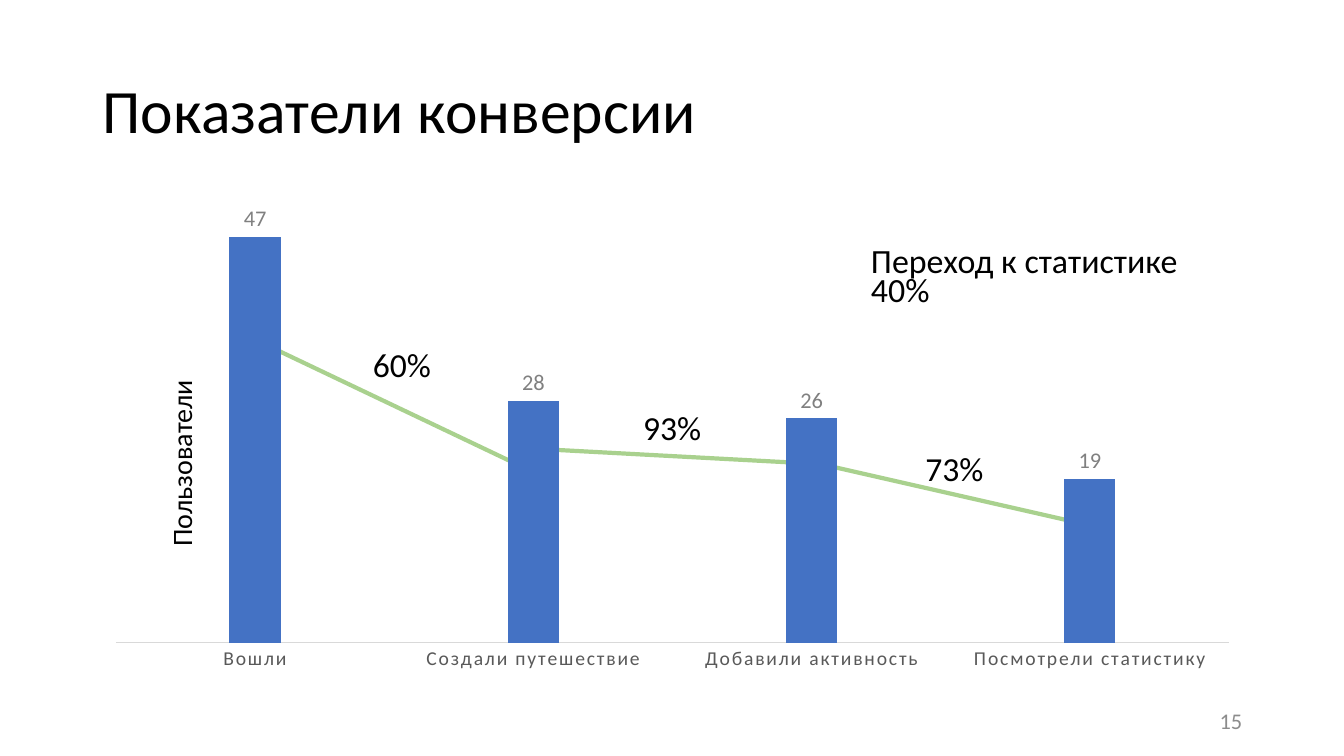
"""Build the conversion funnel slide: user counts per step with step-to-step rates."""
from lxml import etree
from pptx import Presentation
from pptx.chart.data import CategoryChartData
from pptx.dml.color import RGBColor
from pptx.enum.chart import XL_CHART_TYPE, XL_LABEL_POSITION, XL_TICK_LABEL_POSITION, XL_TICK_MARK
from pptx.enum.shapes import MSO_CONNECTOR
from pptx.enum.text import MSO_ANCHOR, PP_ALIGN
from pptx.oxml.ns import qn
from pptx.util import Inches, Pt

COLUMN = XL_CHART_TYPE.COLUMN_CLUSTERED
OUTSIDE_END = XL_LABEL_POSITION.OUTSIDE_END
NO_TICK = XL_TICK_MARK.NONE
NO_LABELS = XL_TICK_LABEL_POSITION.NONE
STRAIGHT = MSO_CONNECTOR.STRAIGHT
MIDDLE = MSO_ANCHOR.MIDDLE
LEFT, RIGHT = PP_ALIGN.LEFT, PP_ALIGN.RIGHT

FONT = "Calibri"
COLORS = {
    "text": "000000", "number": "8C8C8C", "bar": "4472C4", "trend": "A9D18E",
    "value": "808080", "category": "595959", "axis": "D9D9D9",
}
MARGIN, CONTENT_W = 0.92, 11.5
RATE_W, RATE_H = 3.88, 0.63


def style(font, size, color):
    font.name = FONT
    font.size = Pt(size)
    font.color.rgb = RGBColor.from_string(COLORS[color])


def add_text(box, text, size, color="text", spacing=0.9, align=LEFT):
    sp = s.shapes.add_textbox(*map(Inches, box))
    tf = sp.text_frame
    tf.word_wrap = True
    tf.vertical_anchor = MIDDLE
    p = tf.paragraphs[0]
    p.alignment = align
    p.line_spacing = spacing
    r = p.add_run()
    r.text = text
    style(r.font, size, color)
    return tf


prs = Presentation()
prs.slide_width, prs.slide_height = Inches(13.33), Inches(7.5)
s = prs.slides.add_slide(prs.slide_layouts[6])

trend = [
    (8.08, 4.59, 10.8, 5.21),
    (5.27, 4.45, 8.07, 4.6),
    (2.49, 3.35, 5.22, 4.65),
]
for ends in trend:
    line = s.shapes.add_connector(STRAIGHT, *map(Inches, ends))
    line.line.color.rgb = RGBColor.from_string(COLORS["trend"])
    line.line.width = Pt(3)
    etree.SubElement(line._element.spPr, qn("a:effectLst"))

add_text((MARGIN, 0.4, CONTENT_W, 1.45), "Показатели конверсии", 44)
add_text((9.42, 6.95, 3, 0.4), "15", 16, "number", 1.0, RIGHT)
summary = add_text((8.54, 2.46, RATE_W, RATE_H), "Переход к статистике 40%", 24.2, spacing=0.7)
summary.margin_right = Inches(0.3)

for left, top, rate in [(3.6, 3.32, "60%"), (6.28, 3.95, "93%"), (9.08, 4.35, "73%")]:
    add_text((left, top, RATE_W, RATE_H), rate, 24)

axis_title = add_text((1.32, 3.24, 0.99, 2.28), "Пользователи", 20)
axis_title._txBody.bodyPr.set("vert", "vert270")

data = CategoryChartData()
data.categories = ["Вошли", "Создали путешествие", "Добавили активность", "Посмотрели статистику"]
data.add_series("Series 1", [47, 28, 26, 19])
chart_box = map(Inches, (MARGIN, 2, CONTENT_W, 4.76))
chart = s.shapes.add_chart(COLUMN, *chart_box, data).chart
style(chart.font, 10, "text")
chart.has_legend = False
chart.has_title = False

plot = chart.plots[0]
plot.gap_width = 444
plot.overlap = -90
plot.vary_by_categories = False
series = plot.series[0]
series.format.fill.solid()
series.format.fill.fore_color.rgb = RGBColor.from_string(COLORS["bar"])

labels = series.data_labels
labels.show_value = True
labels.position = OUTSIDE_END
style(labels.font, 16, "value")

steps = chart.category_axis
steps.major_tick_mark = steps.minor_tick_mark = NO_TICK
steps.format.line.color.rgb = RGBColor.from_string(COLORS["axis"])
steps.format.line.width = Pt(0.75)
style(steps.tick_labels.font, 14, "category")
steps._element.find(".//" + qn("a:defRPr")).set("spc", "120")

users = chart.value_axis
users.minimum_scale, users.maximum_scale = 0, 50
users.has_major_gridlines = False
users.tick_label_position = NO_LABELS
users.visible = False

plot_area = chart._chartSpace.chart.plotArea
for old in plot_area.findall(qn("c:layout")):
    plot_area.remove(old)
layout = etree.Element(qn("c:layout"))
manual = etree.SubElement(layout, qn("c:manualLayout"))
settings = [
    ("layoutTarget", "inner"), ("xMode", "edge"), ("yMode", "edge"),
    ("x", "0.02"), ("y", "0.02"), ("w", "0.96"), ("h", "0.9"),
]
for tag, value in settings:
    etree.SubElement(manual, qn("c:" + tag)).set("val", value)
plot_area.insert(0, layout)

prs.save("out.pptx")
